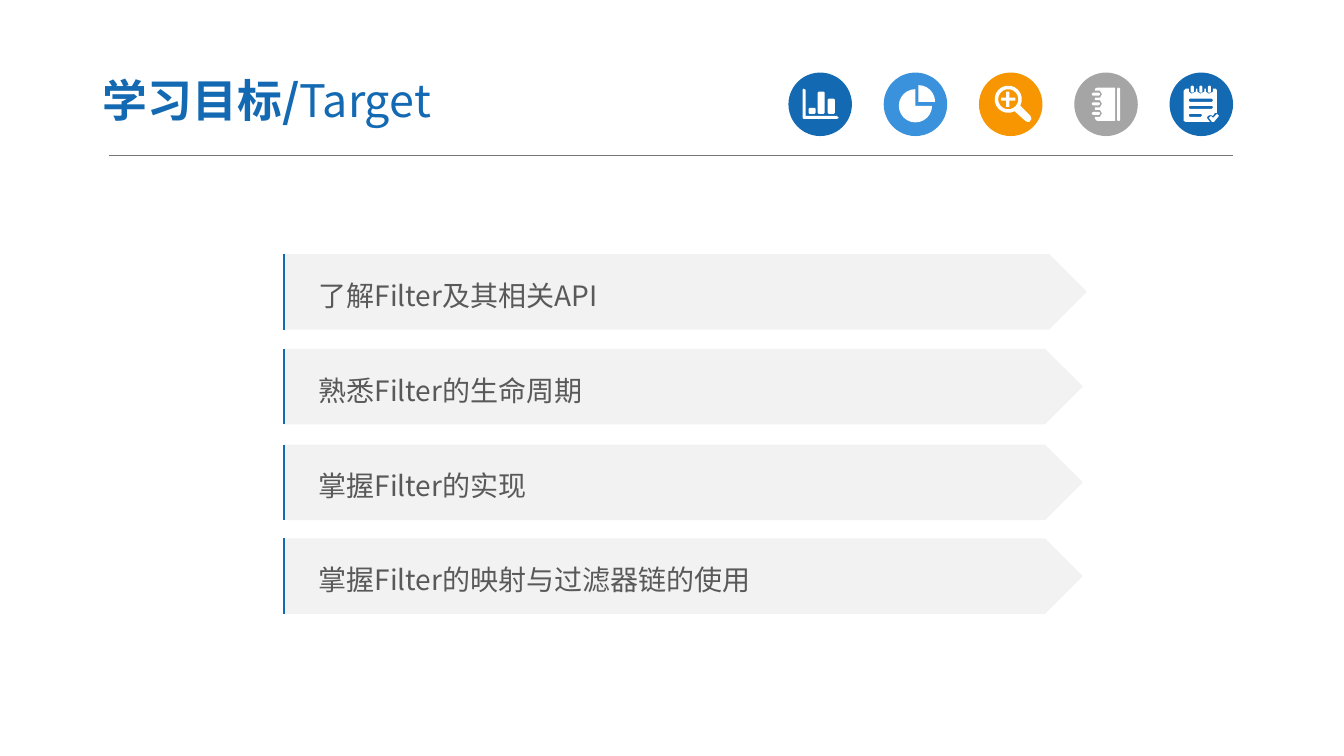
from math import cos, radians, sin
from pptx import Presentation
from pptx.dml.color import RGBColor
from pptx.enum.shapes import MSO_CONNECTOR, MSO_SHAPE
from pptx.enum.text import MSO_ANCHOR, PP_ALIGN
from pptx.oxml.ns import qn
from pptx.util import Inches, Pt
from lxml import etree

OVAL, ARROW = MSO_SHAPE.OVAL, MSO_SHAPE.PENTAGON
STRAIGHT = MSO_CONNECTOR.STRAIGHT
MIDDLE, LEFT = MSO_ANCHOR.MIDDLE, PP_ALIGN.LEFT

FONT = "Noto Sans CJK SC"
COLORS = {"blue": "1369B2", "sky": "3992DB", "orange": "F79600", "gray": "A5A5A5",
          "white": "FFFFFF", "pale": "F2F2F2", "text": "595959", "rule": "767676"}
COLORS = {name: RGBColor.from_string(code) for name, code in COLORS.items()}

prs = Presentation()
prs.slide_width, prs.slide_height = Inches(13.33), Inches(7.5)
slide = prs.slides.add_slide(prs.slide_layouts[5])
shapes = slide.shapes


def arc(x, y, r, start, end, steps):
    """Points on a circle, with angles running clockwise from the right."""
    turns = [radians(start + (end - start) * i / steps) for i in range(steps + 1)]
    return [(x + r * cos(t), y + r * sin(t)) for t in turns]


def pad(x, y, w, h, cut=0.01):
    """Corners of a box with cut edges."""
    right, low = x + w, y + h
    return [(x + cut, y), (right - cut, y), (right, y + cut), (right, low - cut),
            (right - cut, low), (x + cut, low), (x, low - cut), (x, y + cut)]


# Title
title = shapes.title
title.left, title.top, title.width, title.height = map(Inches, (0.89, 0.63, 5.22, 0.72))
frame = title.text_frame
looks = {"vertical_anchor": MIDDLE, "word_wrap": True,
         "margin_left": Inches(0.13), "margin_right": Inches(0.13),
         "margin_top": Inches(0.07), "margin_bottom": Inches(0.07)}
for key, value in looks.items():
    setattr(frame, key, value)
head = frame.paragraphs[0]
head.alignment = LEFT
for words, bold in (("学习目标/", True), ("Target", False)):
    run = head.add_run()
    run.text = words
    for key, value in {"size": Pt(32), "name": FONT, "bold": bold}.items():
        setattr(run.font, key, value)
    run.font.color.rgb = COLORS["blue"]
    etree.SubElement(run.font._element, qn("a:ea"), typeface=FONT)

# Outlines of the icons
chart = [[(7.96, 0.89), (7.97, 0.88), (7.99, 0.89), (7.99, 1.15), (8.3, 1.15),
          (8.32, 1.17), (8.3, 1.18), (7.97, 1.18), (7.96, 1.17)]]
for x, top in ((8.02, 1.07), (8.11, 0.91), (8.21, 0.98)):
    chart.append(pad(x, top, 0.07, 1.13 - top))

pie = [[(9.08, 1.05)] + arc(9.08, 1.05, 0.165, 0, 270, 18),
       [(9.11, 1.01)] + arc(9.11, 1.01, 0.165, 270, 360, 6)]

lens = [arc(10, 0.985, 0.135, 62, 388, 18)
        + [(10.22, 1.15), (10.23, 1.18), (10.21, 1.21), (10.19, 1.21), (10.17, 1.2)],
        arc(10, 0.985, 0.1, 0, 360, 18),
        [(9.98, 0.91), (10.01, 0.91), (10.01, 0.97), (10.07, 0.97), (10.07, 1),
         (10.01, 1), (10.01, 1.06), (9.98, 1.06), (9.98, 1), (9.93, 1),
         (9.93, 0.97), (9.98, 0.97)]]

cover = [(11.06, 1.2), (11.06, 0.87), (10.88, 0.87), (10.86, 0.88)]
book = [cover, pad(11.08, 0.87, 0.03, 0.33)]
for i in range(3):
    y = 0.9 + i * 0.095
    cover += [(10.86, y), (10.91, y), (10.93, y + 0.035), (10.91, y + 0.07), (10.86, y + 0.07)]
    book.append(pad(10.83, y + 0.02, 0.08, 0.03))
cover += [(10.86, 1.18), (10.88, 1.2)]

sheet = [(11.76, 1.21), (11.74, 1.2), (11.74, 0.9), (11.76, 0.88)]
note = [sheet]
for i in range(3):
    x = 11.79 + i * 0.085
    sheet += [(x, 0.88), (x, 0.91), (x + 0.03, 0.93), (x + 0.07, 0.91), (x + 0.07, 0.88)]
    note.append(pad(x + 0.02, 0.85, 0.03, 0.07))
sheet += [(12.06, 0.88), (12.07, 0.9), (12.07, 1.12), (12.05, 1.12), (12.03, 1.15),
          (12.01, 1.14), (11.98, 1.15), (11.97, 1.17), (12, 1.21)]
for y, width in ((0.98, 0.24), (1.05, 0.24), (1.13, 0.13)):
    note.append(pad(11.79, y, width, 0.03))
note.append([(11.99, 1.17), (12.01, 1.15), (12.03, 1.17), (12.07, 1.13), (12.09, 1.15),
             (12.04, 1.21), (12.02, 1.21)])

# Icons on their discs
icons = (("blue", chart), ("sky", pie), ("orange", lens), ("gray", book), ("blue", note))
for i, (color, loops) in enumerate(icons):
    disc = shapes.add_shape(OVAL, Inches(7.82 + i * 0.945), Inches(0.72),
                            Inches(0.63), Inches(0.63))
    pen = None
    for loop in loops:
        start, *rest = [(Inches(x), Inches(y)) for x, y in loop]
        if pen:
            pen.move_to(*start)
        else:
            pen = shapes.build_freeform(*start, scale=1.0)
        pen.add_line_segments(rest, close=True)
    for part, tint in ((disc, color), (pen.convert_to_shape(), "white")):
        part.shadow.inherit = False
        part.fill.solid()
        part.fill.fore_color.rgb = COLORS[tint]
        part.line.fill.background()

# Goals
lines = [(1.08, 1.54, 12.23, 1.54, "rule", 0.5)]
goals = ((2.52, 7.97, "了解Filter及其相关API"),
         (3.46, 7.93, "熟悉Filter的生命周期"),
         (4.41, 7.93, "掌握Filter的实现"),
         (5.34, 7.93, "掌握Filter的映射与过滤器链的使用"))
for top, width, words in goals:
    bar = shapes.add_shape(ARROW, Inches(2.81), Inches(top), Inches(width), Inches(0.75))
    bar.shadow.inherit = False
    bar.fill.solid()
    bar.fill.fore_color.rgb = COLORS["pale"]
    bar.line.fill.background()
    frame = bar.text_frame
    frame.vertical_anchor = MIDDLE
    frame.margin_left = Inches(0.35)
    goal = frame.paragraphs[0]
    goal.alignment, goal.line_spacing = LEFT, 1.2
    run = goal.add_run()
    run.text = words
    for key, value in {"size": Pt(20), "name": FONT}.items():
        setattr(run.font, key, value)
    run.font.color.rgb = COLORS["text"]
    etree.SubElement(run.font._element, qn("a:ea"), typeface=FONT)
    lines.append((2.82, top, 2.82, top + 0.75, "blue", 1.5))

# Title rule and bar edges
for x1, y1, x2, y2, color, width in lines:
    line = shapes.add_connector(STRAIGHT, Inches(x1), Inches(y1), Inches(x2), Inches(y2))
    line.line.color.rgb = COLORS[color]
    line.line.width = Pt(width)
    etree.SubElement(line._element.spPr, qn("a:effectLst"))

prs.save("out.pptx")
